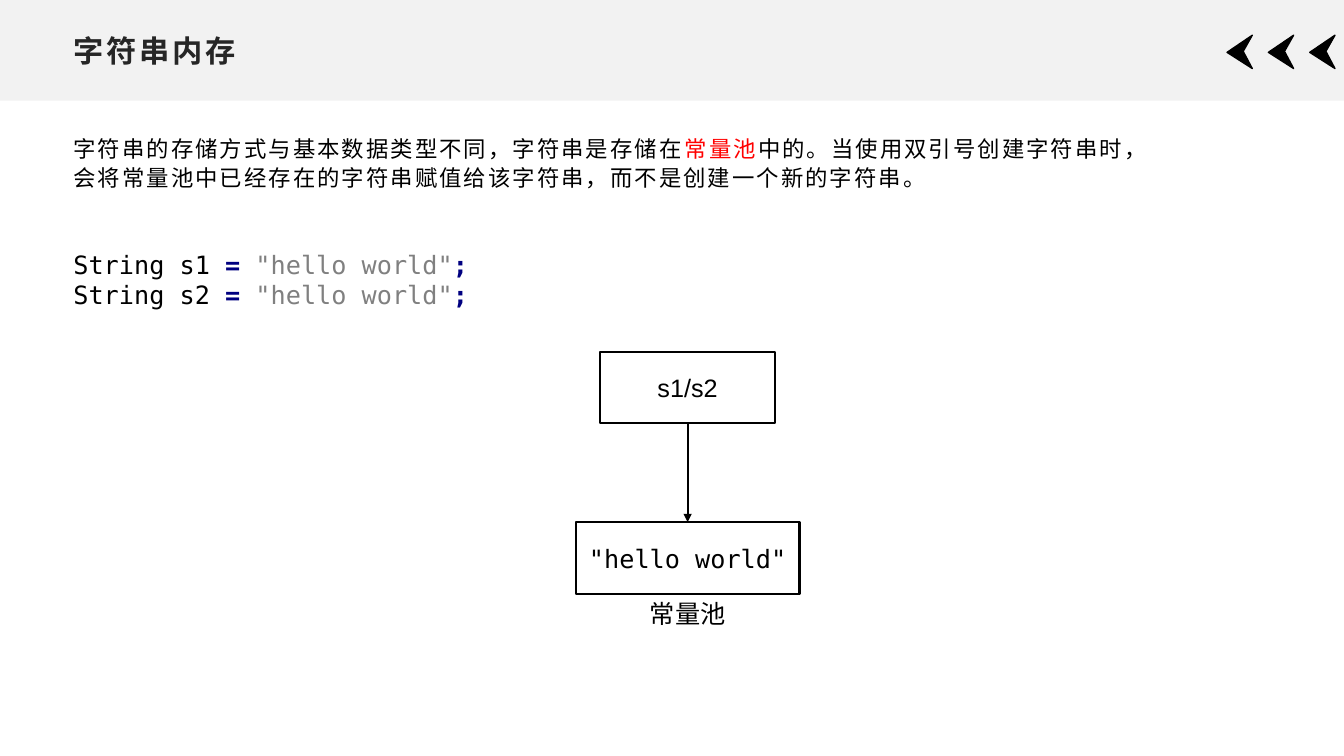
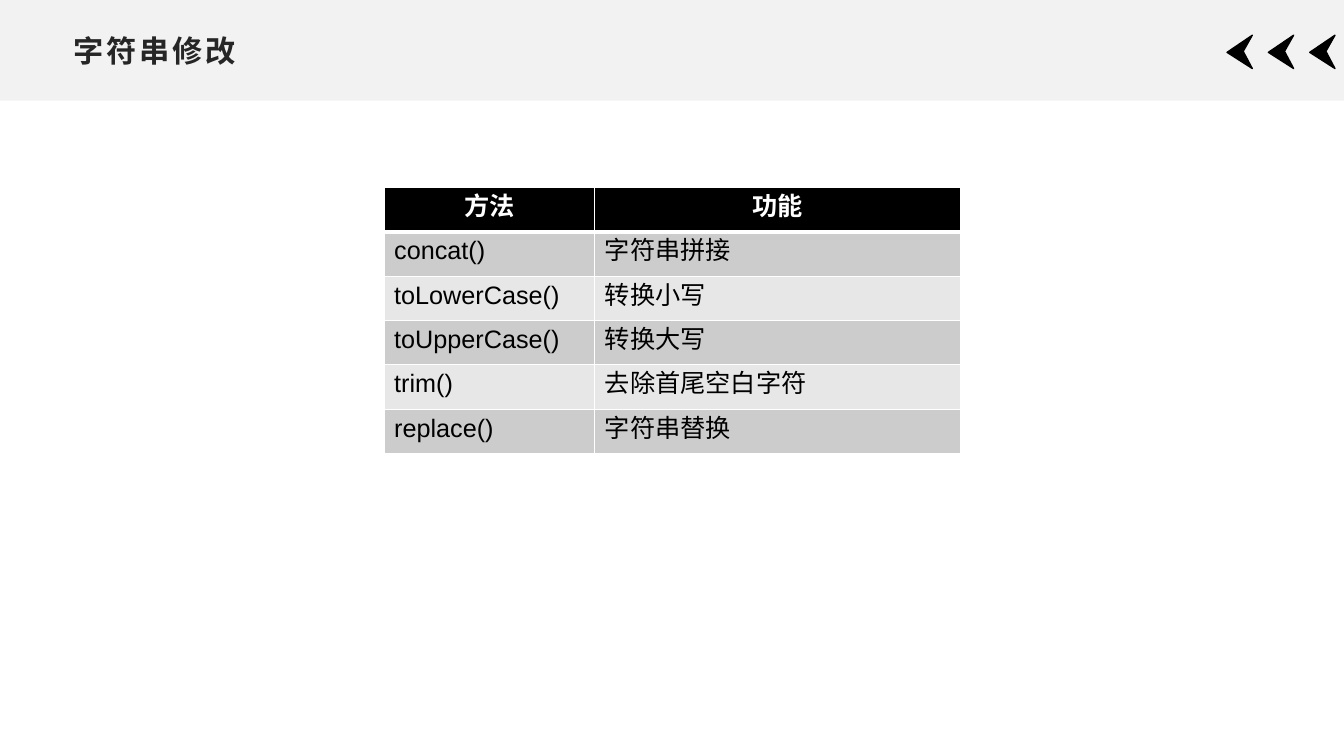
from lxml import etree
from pptx import Presentation
from pptx.dml.color import RGBColor
from pptx.enum import shapes, text
from pptx.oxml import ns
from pptx.util import Inches, Pt

HUES = {
    "black": "000000", "white": "FFFFFF", "band": "F2F2F2", "title": "262626",
    "red": "FF0000", "navy": "000080", "gray": "808080",
    "dark": "CCCCCC", "light": "E7E7E7",
}
MONO = "DejaVu Sans Mono"
MID, LEFT = text.PP_ALIGN.CENTER, text.PP_ALIGN.LEFT

INTRO = [
    ("字符串的存储方式与基本数据类型不同，字符串是存储在", {}),
    ("常量池", {"hue": "red"}),
    ("中的。当使用双引号创建字符串时，会将常量池中已经存在的字符串赋值给该字符串，"
     "而不是创建一个新的字符串。", {}),
]
VALUE = '"hello world"'
SIGN = {"hue": "navy", "bold": True}
CODE = [
    [(f"String {name} ", {}), ("=", SIGN), (" ", {}), (VALUE, {"hue": "gray"}), (";", SIGN)]
    for name in ("s1", "s2")
]
NODES = [
    ("s1/s2", "Arial", 3.49, 1.74),
    (VALUE, MONO, 5.18, 2.22),
]
AXIS, TALL = 6.82, 0.71
HEAD = ("方法", "功能")
ROWS = [
    ("concat()", "字符串拼接"),
    ("toLowerCase()", "转换小写"),
    ("toUpperCase()", "转换大写"),
    ("trim()", "去除首尾空白字符"),
    ("replace()", "字符串替换"),
]
COLS, ROW = (2.09, 3.63), 0.44


def rgb(hue):
    return RGBColor.from_string(HUES[hue])


def box(*spot):
    return [Inches(v) for v in spot]


def paint(shape, fill, line=None, width=1):
    shape.shadow.inherit = False
    shape.fill.solid()
    shape.fill.fore_color.rgb = rgb(fill)
    if line:
        shape.line.color.rgb = rgb(line)
        shape.line.width = Pt(width)
    else:
        shape.line.fill.background()


def write(frame, lines, align=LEFT, space=None, **base):
    for i, line in enumerate(lines):
        para = frame.paragraphs[0] if i == 0 else frame.add_paragraph()
        para.alignment = align
        if space:
            para.line_spacing = space
        for words, own in line:
            look = {"name": "Arial", "size": 18, "hue": "black", "bold": False, "gap": 0}
            look.update(base)
            look.update(own)
            run = para.add_run()
            run.text = words
            style = {"name": look["name"], "size": Pt(look["size"]), "bold": look["bold"]}
            for key, val in style.items():
                setattr(run.font, key, val)
            run.font.color.rgb = rgb(look["hue"])
            props = run._r.get_or_add_rPr()
            props.set("lang", "zh-CN")
            props.set("spc", str(int(look["gap"] * 100)))
            east = etree.SubElement(props, ns.qn("a:ea"))
            east.set("typeface", look["name"])


def label(slide, spot, lines, anchor=text.MSO_ANCHOR.TOP, **look):
    frame = slide.shapes.add_textbox(*box(*spot)).text_frame
    frame.word_wrap = True
    frame.vertical_anchor = anchor
    write(frame, lines, **look)


def start(deck, title):
    slide = deck.slides.add_slide(deck.slide_layouts[6])
    band = slide.shapes.add_shape(shapes.MSO_SHAPE.RECTANGLE, *box(0, 0, 13.33, 1))
    paint(band, "band")
    for i in range(3):
        left = 1217 + 41 * i
        pen = slide.shapes.build_freeform(left + 25, 68, scale=Inches(0.01))
        pen.add_line_segments([(left, 52), (left + 25, 35), (left + 16, 51)], close=True)
        paint(pen.convert_to_shape(), "black", "black")
    label(slide, (0.63, 0.26, 12.07, 0.48), [[(title, {})]], text.MSO_ANCHOR.MIDDLE,
          size=21.6, hue="title", bold=True, gap=2)
    return slide


def arrow(slide, top, end):
    line = slide.shapes.add_connector(shapes.MSO_CONNECTOR.STRAIGHT, *box(AXIS, top, AXIS, end))
    line.line.color.rgb = rgb("black")
    line.line.width = Pt(1.5)
    tip = etree.SubElement(line.line._get_or_add_ln(), ns.qn("a:tailEnd"))
    tip.set("type", "triangle")
    etree.SubElement(line._element.spPr, ns.qn("a:effectLst"))


def memory(deck):
    slide = start(deck, "字符串内存")
    label(slide, (0.63, 1.27, 11.02, 0.89), [INTRO], size=16, gap=1.5, space=1.08)
    label(slide, (0.63, 2.42, 4.84, 0.71), CODE, name=MONO)
    for words, font, top, wide in NODES:
        node = slide.shapes.add_shape(
            shapes.MSO_SHAPE.RECTANGLE, *box(AXIS - wide / 2, top, wide, TALL))
        paint(node, "white", "black", 1.5)
        node.text_frame.vertical_anchor = text.MSO_ANCHOR.MIDDLE
        write(node.text_frame, [[(words, {})]], MID, name=font)
    first, last = NODES[0][2], NODES[-1][2]
    label(slide, (AXIS - 1.11, last + TALL, 2.22, 0.4), [[("常量池", {})]], align=MID)
    arrow(slide, first + TALL, last)


def edge(cell, row):
    props = cell._tc.get_or_add_tcPr()
    wide = {"L": 1, "R": 1, "T": 3 if row == 1 else 1, "B": 3 if row == 0 else 1}
    for side, width in wide.items():
        line = etree.SubElement(props, ns.qn("a:ln" + side), w=str(Pt(width)))
        fill = etree.SubElement(line, ns.qn("a:solidFill"))
        etree.SubElement(fill, ns.qn("a:srgbClr"), val=HUES["white"])


def methods(deck):
    slide = start(deck, "字符串修改")
    data = [HEAD] + ROWS
    grid = slide.shapes.add_table(
        len(data), len(COLS), *box(3.81, 1.86, sum(COLS), ROW * len(data))).table
    for col, wide in zip(grid.columns, COLS):
        col.width = Inches(wide)
    for r, line in enumerate(data):
        grid.rows[r].height = Inches(ROW)
        fill = "black" if r == 0 else ("light", "dark")[r % 2]
        for c, words in enumerate(line):
            cell = grid.cell(r, c)
            edge(cell, r)
            cell.fill.solid()
            cell.fill.fore_color.rgb = rgb(fill)
            write(cell.text_frame, [[(words, {})]], LEFT if r else MID,
                  hue="black" if r else "white", bold=r == 0)


def main():
    deck = Presentation()
    deck.slide_width, deck.slide_height = box(13.33, 7.5)
    memory(deck)
    methods(deck)
    deck.save("out.pptx")


if __name__ == "__main__":
    main()
